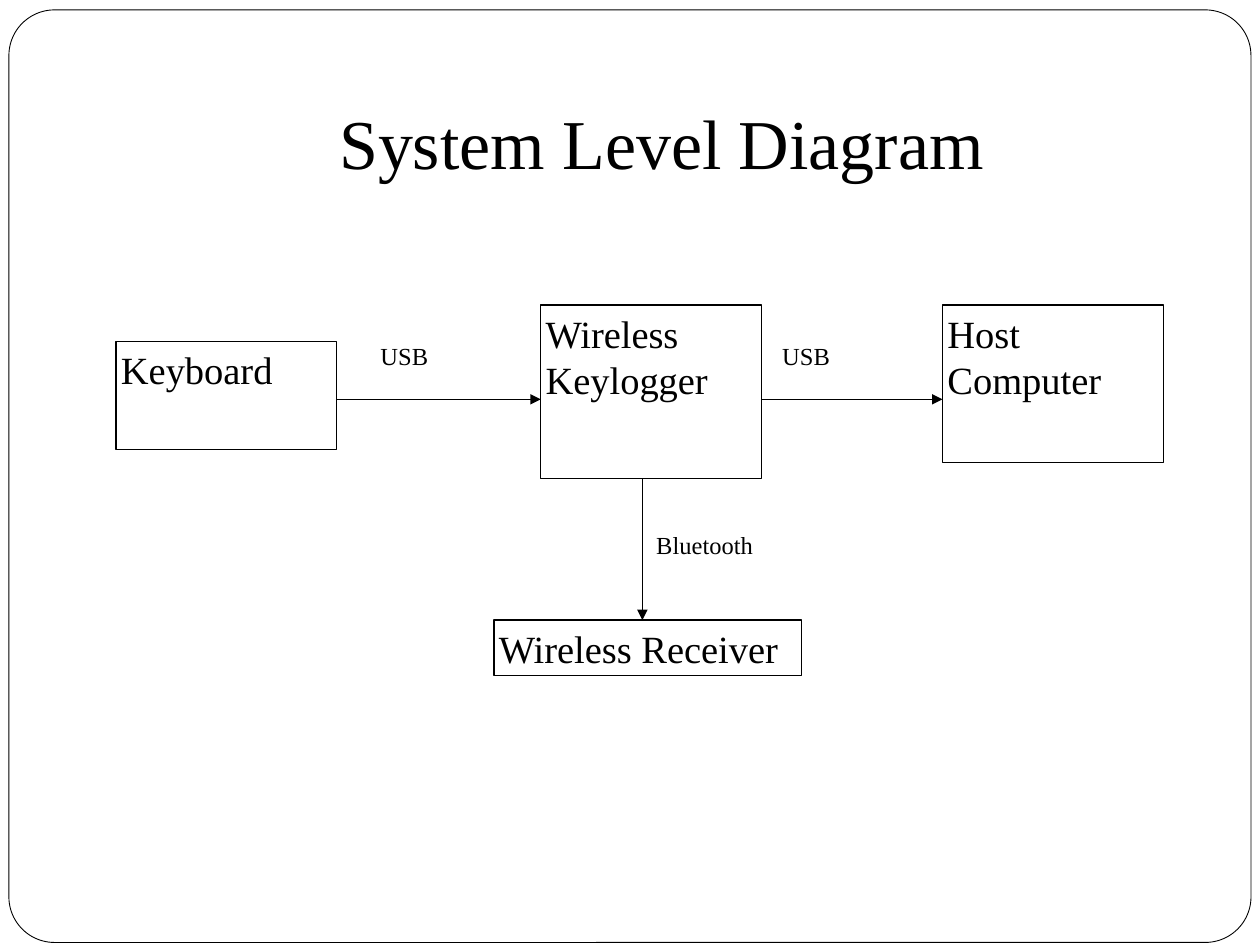
from lxml import etree
from pptx import Presentation
from pptx.dml.color import RGBColor
from pptx.enum.shapes import MSO_CONNECTOR, MSO_SHAPE
from pptx.enum.text import MSO_ANCHOR, PP_ALIGN
from pptx.oxml.ns import qn
from pptx.util import Cm, Pt

RECTANGLE = MSO_SHAPE.RECTANGLE
ROUNDED = MSO_SHAPE.ROUNDED_RECTANGLE
STRAIGHT = MSO_CONNECTOR.STRAIGHT
TOP, BOTTOM = MSO_ANCHOR.TOP, MSO_ANCHOR.BOTTOM
LEFT, CENTER = PP_ALIGN.LEFT, PP_ALIGN.CENTER

COLORS = {"ink": "000000", "paper": "FFFFFF"}
INK = RGBColor.from_string(COLORS["ink"])
PAPER = RGBColor.from_string(COLORS["paper"])


def write(box, text, size=22, align=LEFT, anchor=TOP, margins=(0.1, 0.1, 0.1, 0.1)):
    """Put one formatted paragraph in a box; margins run left, top, right, bottom."""
    frame = box.text_frame
    frame.word_wrap = True
    frame.vertical_anchor = anchor
    (frame.margin_left, frame.margin_top,
     frame.margin_right, frame.margin_bottom) = [Cm(margin) for margin in margins]
    para = frame.paragraphs[0]
    para.alignment = align
    span = para.add_run()
    span.text = text
    span.font.name = "Times New Roman"
    span.font.size = Pt(size)
    span.font.color.rgb = INK


def outline(shape, width=0.75):
    shape.line.color.rgb = INK
    shape.line.width = Pt(width)


deck = Presentation()
deck.slide_width, deck.slide_height = Cm(25.4), Cm(19.05)
page = deck.slides.add_slide(deck.slide_layouts[5])

# Title
title = page.shapes.title
title.left, title.top, title.width, title.height = Cm(2.54), Cm(0.76), Cm(21.59), Cm(3.18)
write(title, "System Level Diagram", size=40, align=CENTER, anchor=BOTTOM,
      margins=(0.25, 0.13, 0.25, 0.25))

# Rounded page border, behind the title
border = page.shapes.add_shape(ROUNDED, Cm(0.18), Cm(0.2), Cm(25.04), Cm(18.8))
border.adjustments[0] = 0.049
border.shadow.inherit = False
border.fill.solid()
border.fill.fore_color.rgb = PAPER
outline(border, width=0.5)
title.element.addprevious(border.element)

# Component boxes: left, top, width, height
components = {
    "Keyboard": (2.34, 6.88, 4.45, 2.18),
    "Wireless Keylogger": (10.9, 6.15, 4.45, 3.5),
    "Host Computer": (19, 6.15, 4.45, 3.18),
    "Wireless Receiver": (9.96, 12.5, 6.2, 1.12),
}
for name, place in components.items():
    component = page.shapes.add_shape(RECTANGLE, *[Cm(length) for length in place])
    component.shadow.inherit = False
    component.fill.background()
    outline(component)
    write(component, name)

# Arrows between components: start x, start y, end x, end y
arrows = [
    (6.79, 8.05, 10.9, 8.05),
    (15.35, 8.05, 19, 8.05),
    (12.95, 9.65, 12.95, 12.5),
]
for ends in arrows:
    arrow = page.shapes.add_connector(STRAIGHT, *[Cm(length) for length in ends])
    outline(arrow)
    etree.SubElement(arrow.line._get_or_add_ln(), qn("a:tailEnd"), type="triangle")
    etree.SubElement(arrow.element.spPr, qn("a:effectLst"))

# Link labels
for text, left, top in [("USB", 7.57, 6.78), ("USB", 15.67, 6.78), ("Bluetooth", 13.13, 10.59)]:
    label = page.shapes.add_textbox(Cm(left), Cm(top), Cm(2.7), Cm(0.97))
    write(label, text, size=14)

deck.save("out.pptx")
